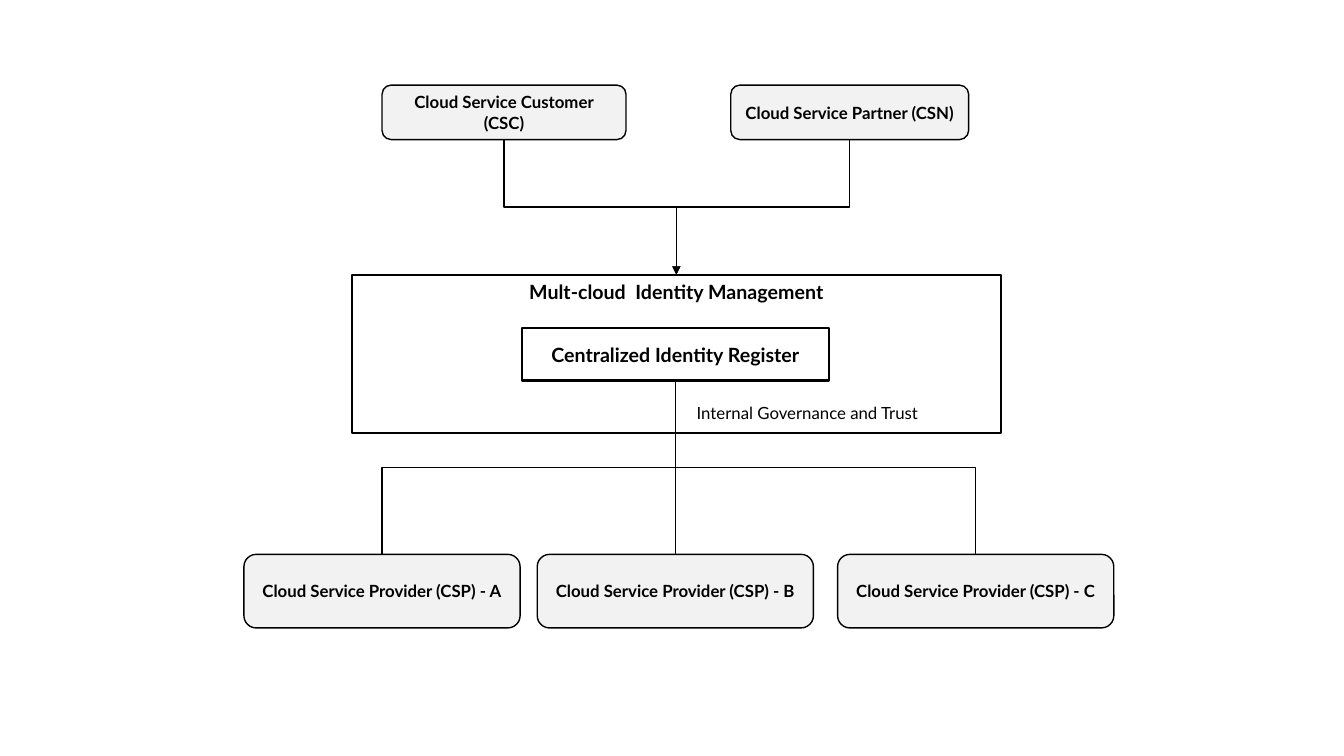
from dataclasses import dataclass

from lxml import etree
from pptx import Presentation
from pptx.dml.color import RGBColor
from pptx.enum.shapes import MSO_CONNECTOR, MSO_SHAPE
from pptx.enum.text import MSO_ANCHOR, PP_ALIGN
from pptx.oxml.ns import qn
from pptx.util import Inches, Pt

RECT, ROUNDED = MSO_SHAPE.RECTANGLE, MSO_SHAPE.ROUNDED_RECTANGLE
STRAIGHT, ELBOW = MSO_CONNECTOR.STRAIGHT, MSO_CONNECTOR.ELBOW
TOP, MIDDLE = MSO_ANCHOR.TOP, MSO_ANCHOR.MIDDLE
CENTER = PP_ALIGN.CENTER
TOP_SIDE, BOTTOM_SIDE = 0, 2


@dataclass(frozen=True)
class Theme:
    font: str = "Lato"
    ink: RGBColor = RGBColor(0, 0, 0)
    paper: RGBColor = RGBColor(255, 255, 255)
    party: RGBColor = RGBColor(0xF2, 0xF2, 0xF2)
    label: int = 12
    heading: int = 14
    thin: float = 1
    thick: float = 1.5


THEME = Theme()

# Grid: 0.1 inch cells. Boxes are placed by their centre column.
CELL = Inches(0.1)
COLUMNS, ROWS = 133.33, 75

CLIENT_ROW, CLIENT_HEIGHT = 8.45, 5.4
CLIENTS = [  # text, centre column, width
    ("Cloud Service Customer (CSC)", 50, 24.2),
    ("Cloud Service Partner (CSN)", 84.3, 23.6),
]
PROVIDER_ROW, PROVIDER_WIDTH, PROVIDER_HEIGHT = 55, 27.4, 7.3
PROVIDERS = [("A", 37.9), ("B", 67), ("C", 96.8)]
MANAGEMENT = ("Mult-cloud  Identity Management", 67.1, 27.25, 64.4, 15.7)
REGISTER = ("Centralized Identity Register", 67, 32.55, 30.5, 5.2)
GOVERNANCE = ("Internal Governance and Trust", 80.1, 39.5, 26.2, 3)

prs = Presentation()
prs.slide_width, prs.slide_height = int(COLUMNS * CELL), ROWS * CELL
shapes = prs.slides.add_slide(prs.slide_layouts[6]).shapes


def frame(center, row, width, height):
    return [int(v * CELL) for v in (center - width / 2, row, width, height)]


def write(shape, text, size=THEME.label, bold=True, anchor=MIDDLE):
    body = shape.text_frame
    body.word_wrap = True
    body.vertical_anchor = anchor
    paragraph = body.paragraphs[0]
    paragraph.alignment = CENTER
    run = paragraph.add_run()
    run.text = text
    run.font.name, run.font.size, run.font.bold = THEME.font, Pt(size), bold
    run.font.color.rgb = THEME.ink


def add_box(kind, text, center, row, width, height, fill, line, **text_format):
    box = shapes.add_shape(kind, *frame(center, row, width, height))
    box.shadow.inherit = False
    box.fill.solid()
    box.fill.fore_color.rgb = fill
    box.line.color.rgb = THEME.ink
    box.line.width = Pt(line)
    write(box, text, **text_format)
    return box


def style_line(connector, arrow=False):
    connector.line.color.rgb = THEME.ink
    connector.line.width = Pt(THEME.thin)
    properties = connector._element.spPr
    if arrow:
        etree.SubElement(properties.find(qn("a:ln")), qn("a:tailEnd"), type="triangle")
    etree.SubElement(properties, qn("a:effectLst"))


def add_drop(upper, lower, arrow=False):
    """Elbow going down, across and down from one box's bottom to another's top."""
    x1, y1 = upper.left + upper.width // 2, upper.top + upper.height
    x2, y2 = lower.left + lower.width // 2, lower.top
    run, fall = abs(x2 - x1), y2 - y1
    left, top = (x1 + x2 - fall) // 2, (y1 + y2 - run) // 2
    elbow = shapes.add_connector(ELBOW, left, top, left + fall, top + run)
    turn = elbow._element.spPr.find(qn("a:xfrm"))
    if x2 > x1:
        turn.set("rot", str(270 * 60000))
        turn.set("flipH", "1")
    else:
        turn.set("rot", str(90 * 60000))
    style_line(elbow, arrow)


management = add_box(RECT, *MANAGEMENT, THEME.paper, THEME.thick,
                     size=THEME.heading, anchor=TOP)
register = add_box(RECT, *REGISTER, THEME.paper, THEME.thick, size=THEME.heading)

for name, center, width in CLIENTS:
    client = add_box(ROUNDED, name, center, CLIENT_ROW, width, CLIENT_HEIGHT,
                     THEME.party, THEME.thin)
    add_drop(client, management, arrow=True)

providers = [
    add_box(ROUNDED, f"Cloud Service Provider (CSP) - {letter}", center, PROVIDER_ROW,
            PROVIDER_WIDTH, PROVIDER_HEIGHT, THEME.party, THEME.thin)
    for letter, center in PROVIDERS
]
left_provider, middle_provider, right_provider = providers
trunk = shapes.add_connector(STRAIGHT, 0, 0, 0, 0)
trunk.begin_connect(register, BOTTOM_SIDE)
trunk.end_connect(middle_provider, TOP_SIDE)
style_line(trunk)
add_drop(register, left_provider)
add_drop(register, right_provider)

governance, *place = GOVERNANCE
write(shapes.add_textbox(*frame(*place)), governance, bold=False, anchor=TOP)

prs.save("out.pptx")
